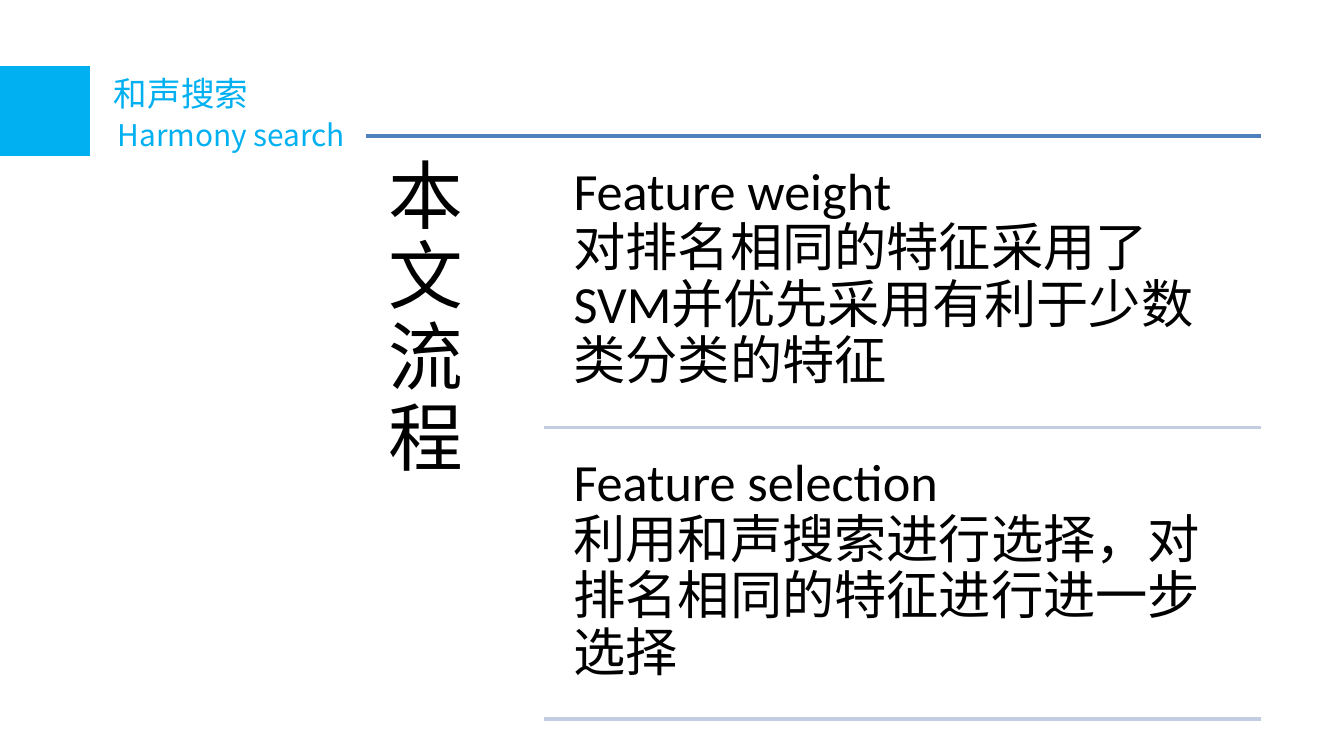
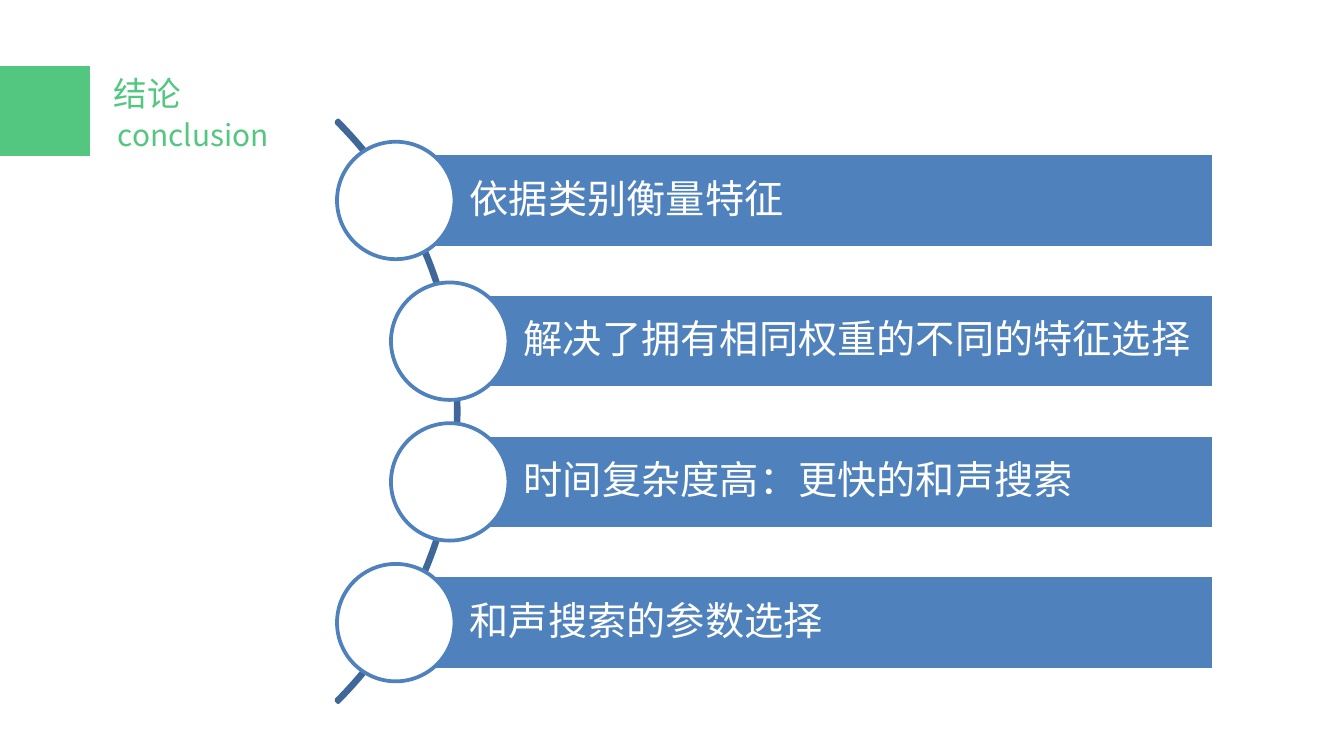
"""Build two slides: the harmony search workflow and the conclusion."""
from dataclasses import dataclass

import lxml.etree
import pptx
import pptx.dml.color
import pptx.enum.shapes
import pptx.enum.text
import pptx.oxml.ns
import pptx.util

Cm = pptx.util.Cm
Pt = pptx.util.Pt
RGB = pptx.dml.color.RGBColor.from_string
MSO = pptx.enum.shapes.MSO_SHAPE
ANCHOR = pptx.enum.text.MSO_ANCHOR
qn = pptx.oxml.ns.qn


@dataclass(frozen=True)
class Theme:
    cyan: str = "00B0F0"
    green: str = "53C780"
    blue: str = "4F81BD"
    pale: str = "C2CDE1"
    navy: str = "3F6797"
    black: str = "000000"
    white: str = "FFFFFF"
    latin: str = "Calibri"
    cjk: str = "Noto Sans CJK SC"
    title: int = 18
    subtitle: int = 16
    topic: int = 40
    body: int = 28
    bar: int = 21
    line: int = 2


T = Theme()


def write(sp, lines, size, color, font, anchor=ANCHOR.TOP, insets=None, spacing=0.9):
    tf = sp.text_frame
    tf.word_wrap = True
    tf.auto_size = pptx.enum.text.MSO_AUTO_SIZE.NONE
    tf.vertical_anchor = anchor
    if insets:
        tf.margin_left = Cm(insets[0])
        tf.margin_top = tf.margin_right = tf.margin_bottom = Cm(insets[1])
    p = tf.paragraphs[0]
    p.alignment = pptx.enum.text.PP_ALIGN.LEFT
    p.line_spacing = spacing
    p.space_before = Pt(0)
    for i, line in enumerate(lines):
        if i:
            p.add_line_break()
        r = p.add_run()
        r.text = line
        r.font.size = Pt(size)
        r.font.name = font
        r.font.color.rgb = RGB(color)
        ea = lxml.etree.SubElement(r.font._element, qn("a:ea"))
        ea.set("typeface", T.cjk)
    return p


def header(s, title, subtitle, color):
    sp = s.shapes.add_shape(MSO.RECTANGLE, 0, Cm(1.25), Cm(1.7), Cm(1.7))
    sp.shadow.inherit = False
    sp.fill.solid()
    sp.fill.fore_color.rgb = RGB(color)
    sp.line.fill.background()
    sp = s.shapes.title
    sp.left, sp.top, sp.width, sp.height = Cm(1.9), Cm(1.25), Cm(4.4), Cm(1.02)
    write(sp, [title], T.title, color, T.cjk, spacing=1.0)
    sp = s.shapes.add_textbox(Cm(1.98), Cm(2.08), Cm(4.93), Cm(0.94))
    write(sp, [subtitle], T.subtitle, color, T.cjk, spacing=1.0)


prs = pptx.Presentation()
prs.slide_width, prs.slide_height = Cm(25.4), Cm(14.29)

s = prs.slides.add_slide(prs.slide_layouts.get_by_name("Two Content"))
header(s, "和声搜索", "Harmony search", T.cyan)

sp = s.shapes.add_textbox(Cm(6.91), Cm(2.57), Cm(3.38), Cm(11.28))
write(sp, ["本文流程"], T.topic, T.black, T.latin, insets=(0.43, 0.43))

steps = [
    ["Feature weight", "对排名相同的特征采用了SVM并优先采用有利于少数类分类的特征"],
    ["Feature selection", "利用和声搜索进行选择，对排名相同的特征进行进一步选择"],
]
first_rule, step_pitch = 2.57, 5.51
rules = [(6.91, first_rule, T.blue)]
for i, lines in enumerate(steps):
    sp = s.placeholders[i + 1]
    sp.left, sp.top = Cm(10.54), Cm(2.82 + i * step_pitch)
    sp.width, sp.height = Cm(13.28), Cm(5.26)
    p = write(sp, lines, T.body, T.black, T.latin, insets=(0.3, 0.3))
    pPr = p._p.get_or_add_pPr()
    pPr.set("marL", "0")
    pPr.set("indent", "0")
    lxml.etree.SubElement(pPr, qn("a:buNone"))
    rules.append((10.29, first_rule + (i + 1) * step_pitch, T.pale))

for left, y, color in rules:
    cx = s.shapes.add_connector(
        pptx.enum.shapes.MSO_CONNECTOR.STRAIGHT, Cm(left), Cm(y), Cm(23.83), Cm(y))
    cx.line.color.rgb = RGB(color)
    cx.line.width = Pt(T.line)
    lxml.etree.SubElement(cx._element.spPr, qn("a:effectLst"))

s = prs.slides.add_slide(prs.slide_layouts.get_by_name("Title Only"))
header(s, "结论", "conclusion", T.green)

sp = s.shapes.add_shape(MSO.BLOCK_ARC, Cm(-6.88), Cm(0), Cm(15.55), Cm(15.55))
sp.adjustments[0], sp.adjustments[1], sp.adjustments[2] = 189, 27, 0.0035
sp.shadow.inherit = False
sp.fill.background()
sp.line.color.rgb = RGB(T.navy)
sp.line.width = Pt(T.line)

findings = [
    (7.48, "依据类别衡量特征"),
    (8.5, "解决了拥有相同权重的不同的特征选择"),
    (8.5, "时间复杂度高：更快的和声搜索"),
    (7.48, "和声搜索的参数选择"),
]
bar_right, bar_height, bar_pitch, dot = 22.94, 1.78, 2.66, 2.22
for i, (left, text) in enumerate(findings):
    middle = 3.79 + i * bar_pitch
    bar = s.shapes.add_shape(MSO.RECTANGLE, Cm(left), Cm(middle - bar_height / 2),
                             Cm(bar_right - left), Cm(bar_height))
    circle = s.shapes.add_shape(MSO.OVAL, Cm(left - dot / 2), Cm(middle - dot / 2),
                                Cm(dot), Cm(dot))
    for sp, fill, line in [(bar, T.blue, T.white), (circle, T.white, T.blue)]:
        sp.shadow.inherit = False
        sp.fill.solid()
        sp.fill.fore_color.rgb = RGB(fill)
        sp.line.color.rgb = RGB(line)
        sp.line.width = Pt(T.line)
    write(bar, [text], T.bar, T.white, T.latin, ANCHOR.MIDDLE, (1.4, 0.15))

prs.save("out.pptx")
